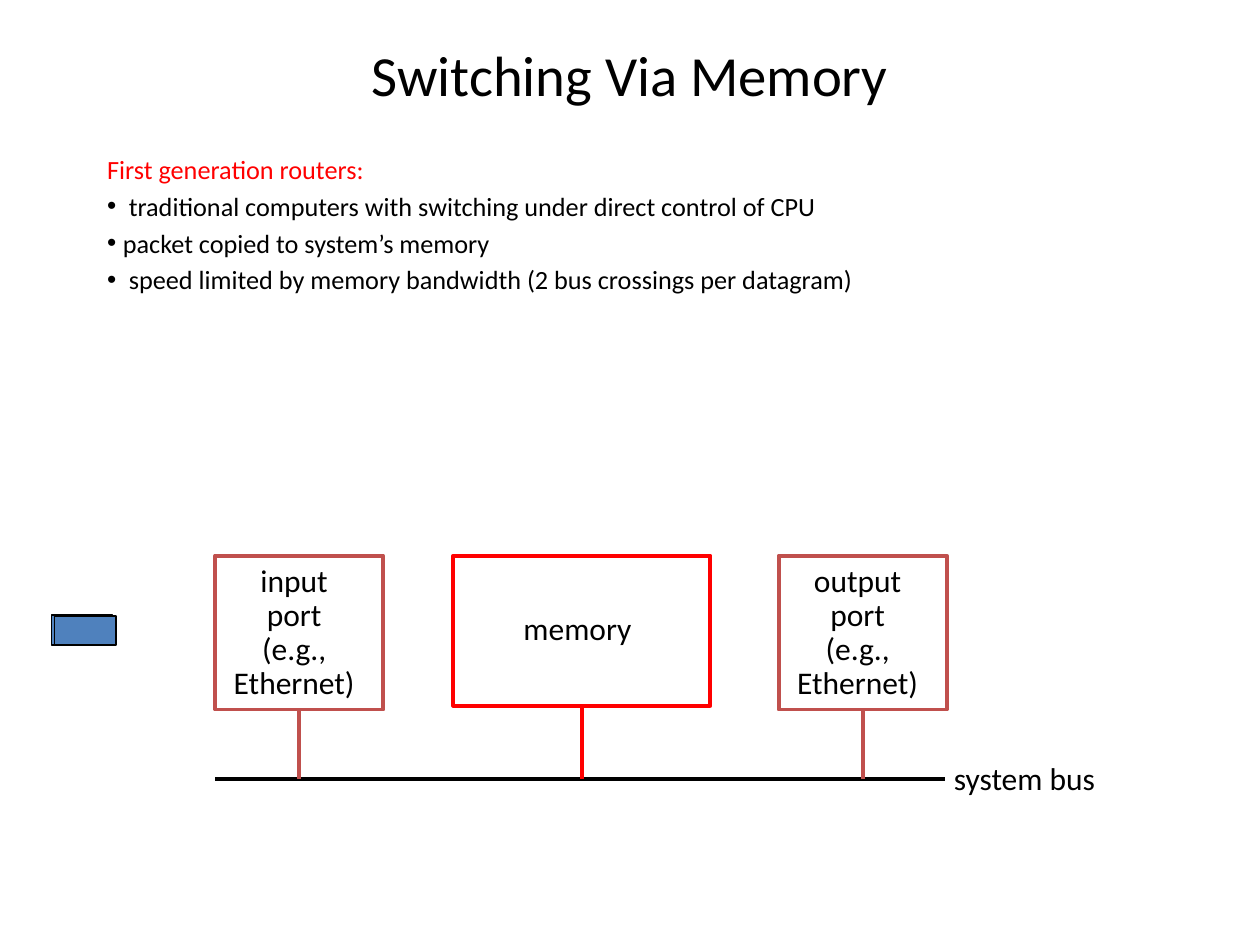
from dataclasses import dataclass

from lxml import etree
from pptx import Presentation
from pptx.dml.color import RGBColor
from pptx.enum.shapes import MSO_CONNECTOR, MSO_SHAPE
from pptx.enum.text import MSO_ANCHOR, MSO_AUTO_SIZE, PP_ALIGN
from pptx.oxml.ns import qn
from pptx.util import Pt

RECT, LINE = MSO_SHAPE.RECTANGLE, MSO_CONNECTOR.STRAIGHT
LEFT, MID = PP_ALIGN.LEFT, PP_ALIGN.CENTER
FIXED, GROW = MSO_AUTO_SIZE.NONE, MSO_AUTO_SIZE.SHAPE_TO_FIT_TEXT
FONT = "Calibri"
BLACK, WHITE, RED, BRICK, BLUE = "000000", "FFFFFF", "FF0000", "C0504D", "4F81BD"
BOTTOM = 2
UNIT_TOP = 317.5
BUS_Y = 445
THICK = 2.25


@dataclass
class Area:
    left: float
    top: float
    width: float
    height: float

    def points(self) -> tuple:
        return Pt(self.left), Pt(self.top), Pt(self.width), Pt(self.height)


@dataclass
class Unit:
    """A box on the bus, with its label."""
    box: Area
    color: str
    fill: str | None
    text: str
    label: Area


PORT_TEXT = "port\n(e.g.,\nEthernet)"
UNITS = [
    Unit(Area(123, UNIT_TOP, 96, 88), BRICK, WHITE, "input\n" + PORT_TEXT,
         Area(119.5, 319.7, 97.2, 85)),
    Unit(Area(259, UNIT_TOP, 147, 85.7), RED, None, "memory",
         Area(290, 347, 80, 26.6)),
    Unit(Area(445, UNIT_TOP, 96, 88), BRICK, WHITE, "output\n" + PORT_TEXT,
         Area(441.5, 319.7, 97.2, 85)),
]
PACKETS = [Area(29.5, 351.4, 34.6, 17.3), Area(31, 352.1, 35.3, 16.6)]
POINTS = [
    "First generation routers:",
    " traditional computers with switching under direct control of CPU",
    "packet copied to system’s memory",
    " speed limited by memory bandwidth (2 bus crossings per datagram)",
]


def rgb(color: str) -> RGBColor:
    return RGBColor.from_string(color)


def style(para, size: float, color: str) -> None:
    for run in para.runs:
        run.font.name = FONT
        run.font.size = Pt(size)
        run.font.color.rgb = rgb(color)


def move(shape, area: Area) -> None:
    shape.left, shape.top, shape.width, shape.height = area.points()


def add_title(slide) -> None:
    title = slide.shapes.title
    move(title, Area(54, 18, 612, 48))
    frame = title.text_frame
    frame.text = "Switching Via Memory"
    frame.auto_size = FIXED
    frame.vertical_anchor = MSO_ANCHOR.MIDDLE
    para = frame.paragraphs[0]
    para.alignment = MID
    style(para, 32.4, BLACK)


def add_body(slide) -> None:
    body = slide.placeholders[1]
    move(body, Area(54, 84, 618, 84))
    frame = body.text_frame
    frame.text = "\n".join(POINTS)
    frame.auto_size = FIXED
    for i, para in enumerate(frame.paragraphs):
        props = para._p.get_or_add_pPr()
        props.set("marL", str(Pt(9)))
        props.set("indent", str(-Pt(9)))
        if i:
            etree.SubElement(props, qn("a:buChar")).set("char", "•")
        else:
            etree.SubElement(props, qn("a:buNone"))
        para.space_before = Pt(3 if i else 0)
        style(para, 15, BLACK if i else RED)


def add_box(slide, area: Area, fill: str | None, color: str, width: float):
    box = slide.shapes.add_shape(RECT, *area.points())
    box.shadow.inherit = False
    if fill:
        box.fill.solid()
        box.fill.fore_color.rgb = rgb(fill)
    else:
        box.fill.background()
    box.line.color.rgb = rgb(color)
    box.line.width = Pt(width)
    return box


def add_label(slide, area: Area, text: str, align, pitch: float) -> None:
    frame = slide.shapes.add_textbox(*area.points()).text_frame
    frame.text = text
    frame.word_wrap = False
    frame.auto_size = GROW
    for para in frame.paragraphs:
        para.alignment = align
        para.line_spacing = pitch
        style(para, 18, BLACK)


def add_line(slide, x1: float, y1: float, x2: float, y2: float, color: str):
    line = slide.shapes.add_connector(LINE, Pt(x1), Pt(y1), Pt(x2), Pt(y2))
    line.line.color.rgb = rgb(color)
    line.line.width = Pt(THICK)
    etree.SubElement(line._element.spPr, qn("a:effectLst"))
    return line


def add_unit(slide, unit: Unit) -> None:
    area = unit.box
    box = add_box(slide, area, unit.fill, unit.color, THICK)
    add_label(slide, unit.label, unit.text, MID, 0.9)
    x = area.left + area.width / 2
    stem = add_line(slide, x, area.top + area.height, x, BUS_Y, unit.color)
    stem.begin_connect(box, BOTTOM)


def main() -> None:
    deck = Presentation()
    deck.slide_width, deck.slide_height = Pt(720), Pt(540)
    slide = deck.slides.add_slide(deck.slide_layouts[1])
    add_title(slide)
    add_body(slide)
    add_line(slide, 123, BUS_Y, 540, BUS_Y, BLACK)
    for unit in UNITS:
        add_unit(slide, unit)
    add_label(slide, Area(538, 430, 108, 29), "system bus", LEFT, 1.0)
    for area in PACKETS:
        add_box(slide, area, BLUE, BLACK, 0.75)
    deck.save("out.pptx")


if __name__ == "__main__":
    main()
